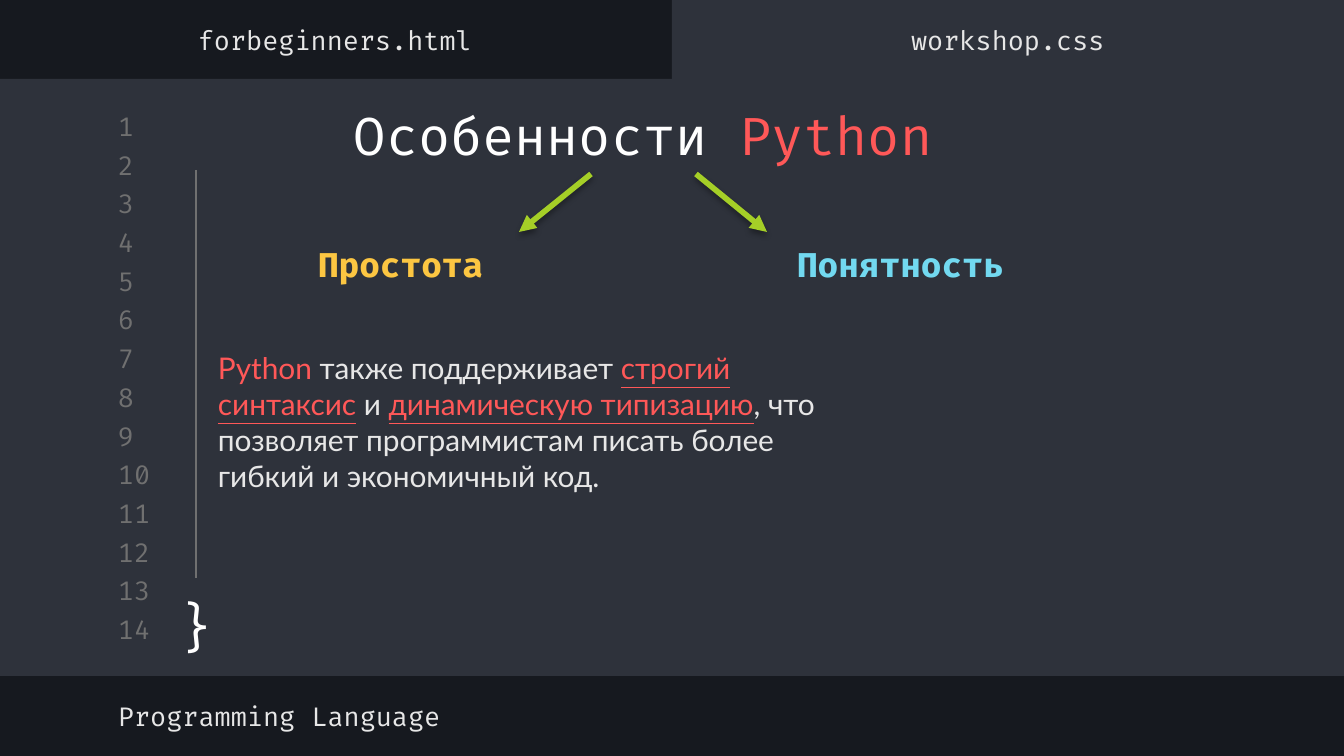
"""Build the slide on the features of Python, styled as a code editor."""
from lxml import etree
from pptx import Presentation, util as u
from pptx.dml.color import RGBColor
from pptx.enum import shapes, text
from pptx.oxml import parse_xml
from pptx.oxml.ns import nsdecls, qn

COLORS = {"dark": "16191F", "panel": "2E323B", "grey": "707070", "white": "FFFFFF",
          "light": "E7E7E7", "red": "FF5858", "yellow": "FCC642", "blue": "72D9F0",
          "green": "A5CF27"}
CODE, BODY = "Fira Code", "Lato"
LEFT, CENTER = text.PP_ALIGN.LEFT, text.PP_ALIGN.CENTER
TOP, MIDDLE = text.MSO_ANCHOR.TOP, text.MSO_ANCHOR.MIDDLE

PANELS = [(0, 79, 1344, 597), (672, 0, 672, 88)]
TITLE = [("Особенности ", "white", False), ("Python", "red", False)]
TITLE_BOX = (341, 90, 1071, 79)
LABELS = [
    ("}", (160, 581, 74, 90), 28, "white", False, CENTER, TOP),
    ("Простота", (305, 239, 351, 50), 18, "yellow", True, LEFT, MIDDLE),
    ("Понятность", (784, 239, 304, 50), 18, "blue", True, LEFT, MIDDLE),
    ("Programming Language", (105, 690, 715, 53), 14, "light", False, LEFT, MIDDLE),
    ("forbeginners.html", (-1, 14, 672, 53), 14, "light", False, CENTER, MIDDLE),
    ("workshop.css", (672, 14, 672, 53), 14, "light", False, CENTER, MIDDLE),
]
STATEMENT = [
    ("Python ", "red", False),
    ("также поддерживает ", "light", False),
    ("строгий синтаксис", "red", True),
    (" и ", "light", False),
    ("динамическую типизацию", "red", True),
    (", что позволяет программистам писать более гибкий и экономичный код.", "light", False),
]
STATEMENT_BOX = (205, 343, 672, 159)
GUIDE = (196, 170, 196, 578)
ARROWS = [(591, 174, 519, 232), (696, 174, 767, 232)]
LINE_COUNT, FIRST_TOP, LAST_TOP = 14, 110, 613


def px(*lengths):
    return [u.Emu(round(length * 914400 / 134.4)) for length in lengths]


def color(name):
    return RGBColor.from_string(COLORS[name])


def write(shape, runs, size, font=CODE, bold=False, align=LEFT, anchor=TOP, inset_y=13):
    frame = shape.text_frame
    frame.word_wrap = True
    frame.auto_size = text.MSO_AUTO_SIZE.NONE
    frame.vertical_anchor = anchor
    frame.margin_left, frame.margin_right = px(13, 13)
    frame.margin_top, frame.margin_bottom = px(inset_y, inset_y)
    paragraph = frame.paragraphs[0]
    paragraph.alignment = align
    paragraph.font.name, paragraph.font.size, paragraph.font.bold = font, u.Pt(size), bold
    for words, ink, underline in runs:
        run = paragraph.add_run()
        run.text = words
        run.font.color.rgb = color(ink)
        run.font.underline = underline


def add_line(slide, ends, ink, width):
    line = slide.shapes.add_connector(shapes.MSO_CONNECTOR.STRAIGHT, *px(*ends))
    line.line.color.rgb = color(ink)
    line.line.width = u.Pt(width)
    effects = etree.SubElement(line.element.spPr, qn("a:effectLst"))
    return line, effects


def add_arrow(slide, ends):
    arrow, effects = add_line(slide, ends, "green", 3)
    etree.SubElement(arrow.line._get_or_add_ln(), qn("a:tailEnd"), type="triangle")
    effects.append(parse_xml(
        f'<a:outerShdw {nsdecls("a")} blurRad="40000" dist="23000" dir="5400000" rotWithShape="0">'
        '<a:srgbClr val="000000"><a:alpha val="35000"/></a:srgbClr></a:outerShdw>'))


def main():
    presentation = Presentation()
    presentation.slide_width, presentation.slide_height = px(1344, 756)
    slide = presentation.slides.add_slide(presentation.slide_layouts[5])
    slide.background.fill.solid()
    slide.background.fill.fore_color.rgb = color("dark")

    for box in PANELS:
        panel = slide.shapes.add_shape(shapes.MSO_SHAPE.RECTANGLE, *px(*box))
        panel.shadow.inherit = False
        panel.fill.solid()
        panel.fill.fore_color.rgb = color("panel")
        panel.line.fill.background()

    for index in range(LINE_COUNT):
        top = FIRST_TOP + round(index * (LAST_TOP - FIRST_TOP) / (LINE_COUNT - 1))
        number = slide.shapes.add_textbox(*px(105, top, 63, 32))
        write(number, [(str(index + 1), "grey", False)], 14, anchor=MIDDLE)

    title = slide.shapes.title
    title.left, title.top, title.width, title.height = px(*TITLE_BOX)
    write(title, TITLE, 28)
    title.element.getparent().append(title.element)

    add_line(slide, GUIDE, "grey", 0.75)
    for words, box, size, ink, bold, align, anchor in LABELS:
        label = slide.shapes.add_textbox(*px(*box))
        write(label, [(words, ink, False)], size, bold=bold, align=align, anchor=anchor)
    for ends in ARROWS:
        add_arrow(slide, ends)

    statement = slide.shapes.add_textbox(*px(*STATEMENT_BOX))
    write(statement, STATEMENT, 16, font=BODY, inset_y=7)
    presentation.save("out.pptx")


if __name__ == "__main__":
    main()
